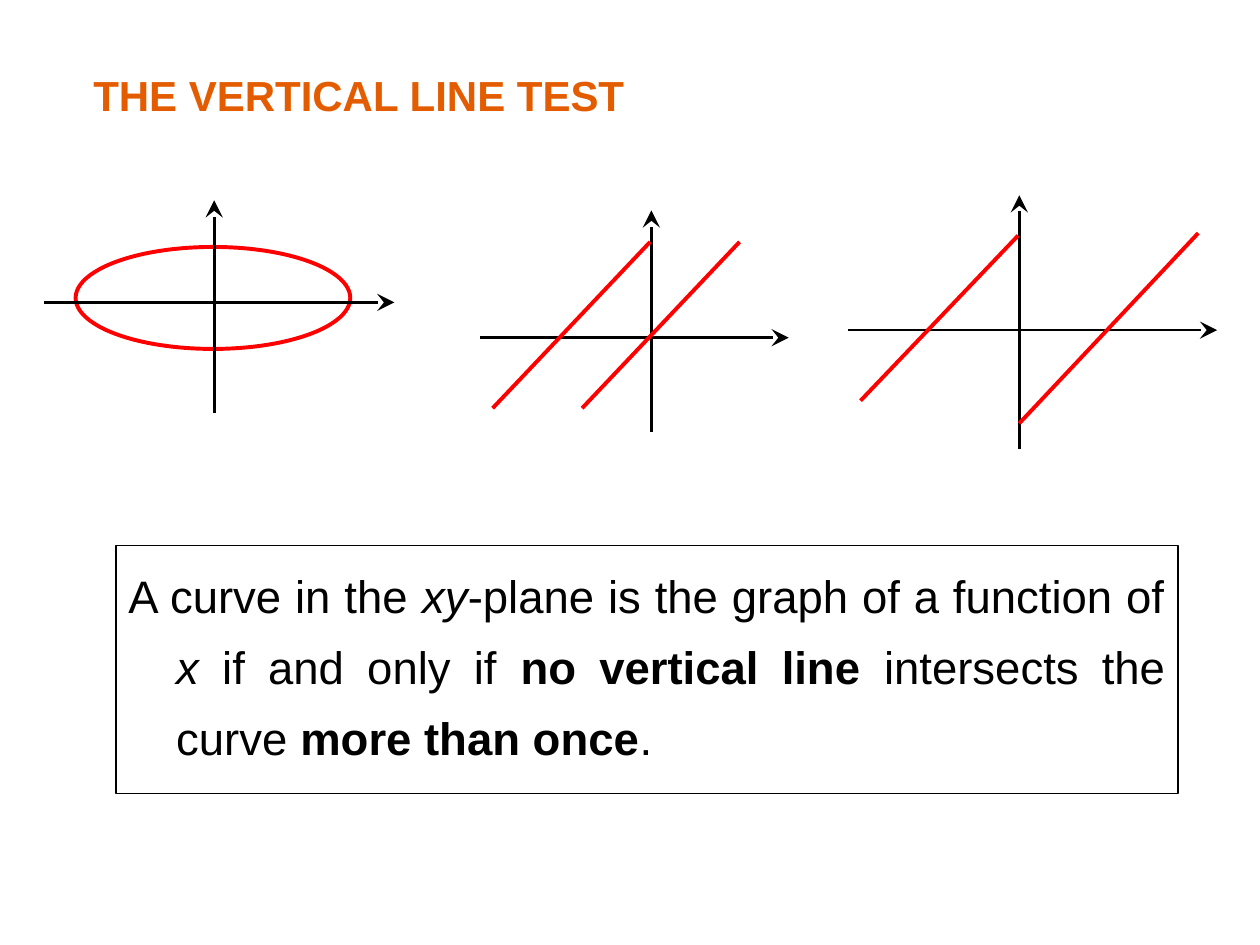
from pptx import Presentation
from pptx.dml.color import RGBColor
from pptx.enum.shapes import MSO_CONNECTOR, MSO_SHAPE
from pptx.enum.text import MSO_ANCHOR, MSO_AUTO_SIZE, PP_ALIGN
from pptx.oxml.ns import qn
from pptx.util import Inches, Pt
from lxml.etree import SubElement

THEME = {
    "font": "Arial",
    "title": RGBColor(0xE4, 0x5C, 0x00),
    "ink": RGBColor(0, 0, 0),
    "curve": RGBColor(0xFF, 0, 0),
    "paper": RGBColor(0xFF, 0xFF, 0xFF),
    "title_size": Pt(24),
    "body_size": Pt(26),
    "axis_width": Pt(1.5),
    "curve_width": Pt(2.25),
    "frame_width": Pt(0.75),
}

TITLE = "THE VERTICAL LINE TEST"
STATEMENT = [
    ("A curve in the ", ""),
    ("xy", "i"),
    ("-plane is the graph of a function of ", ""),
    ("x ", "i"),
    ("if and only if ", ""),
    ("no vertical line", "b"),
    (" intersects the curve ", ""),
    ("more than once", "b"),
    (".", ""),
]
GRAPHS = [
    {"x_axis": (0.35, 2.4, 3.13, 2.4), "y_axis": (1.7, 3.28, 1.7, 1.59),
     "ellipse": (0.6, 1.96, 2.18, 0.81), "lines": []},
    {"x_axis": (6.73, 2.62, 9.66, 2.62), "y_axis": (8.09, 3.56, 8.09, 1.55),
     "lines": [(6.83, 3.18, 8.08, 1.87), (8.09, 3.36, 9.51, 1.85)]},
    {"x_axis": (3.81, 2.68, 6.26, 2.68), "y_axis": (5.17, 3.43, 5.17, 1.67),
     "lines": [(3.91, 3.24, 5.16, 1.92), (4.62, 3.24, 5.87, 1.92)]},
]


def inches(values):
    return [Inches(v) for v in values]


def add_run(p, text, size, color, bold=False, italic=False):
    r = p.add_run()
    r.text = text
    r.font.name = THEME["font"]
    r.font.size = size
    r.font.color.rgb = color
    r.font.bold = bold
    r.font.italic = italic


def add_line(shapes, ends, color, width, arrow=False):
    c = shapes.add_connector(MSO_CONNECTOR.STRAIGHT, *inches(ends))
    c.line.color.rgb = color
    c.line.width = width
    if arrow:
        SubElement(c.line._get_or_add_ln(), qn("a:tailEnd"),
                   type="stealth", w="lg", len="lg")
    SubElement(c._element.spPr, qn("a:effectLst"))


def add_graph(s, graph):
    shapes = s.shapes.add_group_shape().shapes
    if "ellipse" in graph:
        sp = shapes.add_shape(MSO_SHAPE.OVAL, *inches(graph["ellipse"]))
        sp.shadow.inherit = False
        sp.fill.background()
        sp.line.color.rgb = THEME["curve"]
        sp.line.width = THEME["curve_width"]
    for axis in ("x_axis", "y_axis"):
        add_line(shapes, graph[axis], THEME["ink"], THEME["axis_width"], arrow=True)
    for ends in graph["lines"]:
        add_line(shapes, ends, THEME["curve"], THEME["curve_width"])


def add_title(s):
    sp = s.shapes.title
    sp.left, sp.top, sp.width, sp.height = inches((0.64, 0.42, 7.25, 0.58))
    tf = sp.text_frame
    tf.word_wrap = True
    tf.auto_size = MSO_AUTO_SIZE.NONE
    tf.vertical_anchor = MSO_ANCHOR.TOP
    p = tf.paragraphs[0]
    p.alignment = PP_ALIGN.JUSTIFY
    p.line_spacing = 1.2
    add_run(p, TITLE, THEME["title_size"], THEME["title"], bold=True)


def add_statement(s):
    sp = s.shapes.add_shape(MSO_SHAPE.RECTANGLE, *inches((0.92, 4.33, 8.43, 1.97)))
    sp.shadow.inherit = False
    sp.fill.solid()
    sp.fill.fore_color.rgb = THEME["paper"]
    sp.line.color.rgb = THEME["ink"]
    sp.line.width = THEME["frame_width"]
    tf = sp.text_frame
    tf.word_wrap = True
    tf.vertical_anchor = MSO_ANCHOR.TOP
    p = tf.paragraphs[0]
    p.alignment = PP_ALIGN.JUSTIFY
    p.line_spacing = 1.3
    p.space_before = Pt(6.5)
    pPr = p._p.get_or_add_pPr()
    pPr.set("marL", str(Inches(0.38)))
    pPr.set("indent", str(-Inches(0.38)))
    for text, style in STATEMENT:
        add_run(p, text, THEME["body_size"], THEME["ink"],
                bold=style == "b", italic=style == "i")


def main():
    prs = Presentation()
    prs.slide_width, prs.slide_height = inches((10, 7.5))
    s = prs.slides.add_slide(prs.slide_layouts[5])
    add_statement(s)
    add_title(s)
    for graph in GRAPHS:
        add_graph(s, graph)
    prs.save("out.pptx")


if __name__ == "__main__":
    main()
